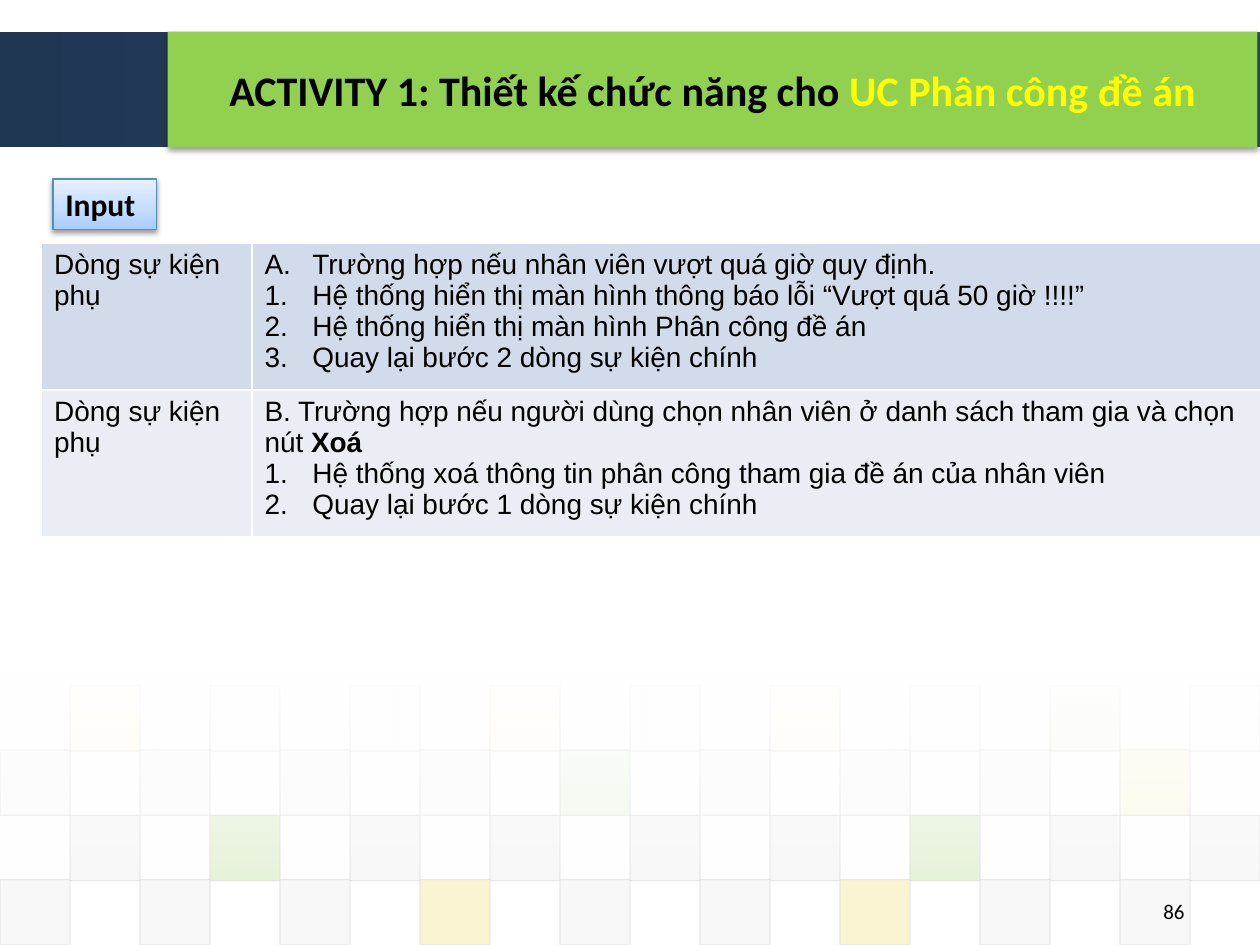
"""Build the activity slide: title bar, input tag, event flow table and tile pattern."""
from lxml import etree
from pptx import Presentation
from pptx.dml.color import RGBColor
from pptx.enum import shapes, text
from pptx.oxml import ns, parse_xml
from pptx.util import Inches, Pt

BLACK = RGBColor(0, 0, 0)
WHITE = RGBColor(255, 255, 255)
YELLOW = RGBColor(255, 255, 0)
LIME = RGBColor(0x92, 0xD0, 0x50)
BLUE = RGBColor(0x55, 0x8D, 0xC0)
GREY = RGBColor(0xDD, 0xDD, 0xDD)
TINTS = {"D": GREY, "E": RGBColor(0xEA, 0xEA, 0xEA),
         "G": RGBColor(0x8A, 0xC2, 0x46), "Y": RGBColor(0xEF, 0xC8, 0x21)}
BANDS = [RGBColor(0xD2, 0xDB, 0xE9), RGBColor(0xEA, 0xEE, 0xF4)]

NAVY = [(0, "1F3653", 100), (100, "2E507A", 100)]
FADE = [(0, "FFFFFF", 90), (100, "FFFFFF", 0)]
SKY = [(0, "A8CDFF", 100), (35, "C1DBFF", 100), (100, "E7F1FF", 100)]

TILES = [(5.44, 1, 5, "YEEYDYEGE"), (5.95, 0, 10, "DDDDGDDDY"),
         (6.47, 1, 20, "DGDDDDGDD"), (6.98, 0, 20, "DDDYDDYDD")]
STEP = 10 / 18

TITLE = [("ACTIVITY 1: Thiết kế chức năng cho ", BLACK), ("UC Phân công đề án", YELLOW)]
LABEL = "Dòng sự kiện phụ"
ALPHA, NUM = "alphaUcPeriod", "arabicPeriod"
FLOWS = [
    [(ALPHA, ["Trường hợp nếu nhân viên vượt quá giờ quy định."]),
     (NUM, ["Hệ thống hiển thị màn hình thông báo lỗi “Vượt quá 50 giờ !!!!”"]),
     (NUM, ["Hệ thống hiển thị màn hình Phân công đề án"]),
     (NUM, ["Quay lại bước 2 dòng sự kiện chính"])],
    [(None, ["B. Trường hợp nếu người dùng chọn nhân viên ở danh sách tham gia và chọn nút ", "Xoá"]),
     (NUM, ["Hệ thống xoá thông tin phân công tham gia đề án của nhân viên"]),
     (NUM, ["Quay lại bước 1 dòng sự kiện chính"])],
]


def sub(node, tag, **attrs):
    return etree.SubElement(node, ns.qn(tag), {k: str(v) for k, v in attrs.items()})


def box(slide, area, fill=None, line=None):
    item = slide.shapes.add_shape(shapes.MSO_SHAPE.RECTANGLE, *map(Inches, area))
    item.shadow.inherit = False
    item.fill.background()
    if fill is not None:
        item.fill.solid()
        item.fill.fore_color.rgb = fill
    item.line.fill.background()
    if line is not None:
        item.line.color.rgb = line
        item.line.width = Pt(0.75)
    return item


def blend(item, stops, angle):
    grad = parse_xml(f'<a:gradFill {ns.nsdecls("a")} rotWithShape="1"/>')
    group = sub(grad, "a:gsLst")
    for spot, tone, alpha in stops:
        color = sub(sub(group, "a:gs", pos=spot * 1000), "a:srgbClr", val=tone)
        if alpha < 100:
            sub(color, "a:alpha", val=alpha * 1000)
    sub(grad, "a:lin", ang=angle * 60000, scaled=0)
    props = item._element.spPr
    props.replace(props.find(ns.qn("a:noFill")), grad)


def shade(item):
    effect = item._element.spPr.find(ns.qn("a:effectLst"))
    drop = sub(effect, "a:outerShdw", blurRad=Pt(3.1), dist=Pt(1.6), dir=90 * 60000, rotWithShape=0)
    sub(sub(drop, "a:srgbClr", val="000000"), "a:alpha", val=38000)


def style(run, size, color=BLACK, bold=False, face="Calibri"):
    font = run.font
    font.size, font.name, font.bold = Pt(size), face, bold
    font.color.rgb = color


def write(para, parts, size, **look):
    for part in parts:
        run = para.add_run()
        run.text = part
        style(run, size, **look)


def draw_tiles(slide):
    for top, start, alpha, row in TILES:
        for i, key in enumerate(row):
            tile = box(slide, ((start + 2 * i) * STEP, top, STEP, 0.52), TINTS[key], GREY)
            colors = tile._element.spPr.iter(ns.qn("a:srgbClr"))
            for color, part in zip(list(colors), (alpha, 60)):
                sub(color, "a:alpha", val=part * 1000)
    blend(box(slide, (0, 5.37, 10, 1.62)), FADE, 90)


def edge(cell):
    props = cell._tc.get_or_add_tcPr()
    for i, side in enumerate(("L", "R", "T", "B")):
        line = parse_xml(f'<a:ln{side} {ns.nsdecls("a")} w="{Pt(1)}"/>')
        sub(sub(line, "a:solidFill"), "a:srgbClr", val=WHITE)
        props.insert(i, line)


def draw_table(slide):
    table = slide.shapes.add_table(2, 2, *map(Inches, (0.33, 1.93, 9.84, 2.16))).table
    table.first_row = table.horz_banding = False
    for col, width in zip(table.columns, (1.67, 8.17)):
        col.width = Inches(width)
    for r, (flow, band) in enumerate(zip(FLOWS, BANDS)):
        for c, paras in enumerate(([(None, [LABEL])], flow)):
            cell = table.cell(r, c)
            cell.fill.solid()
            cell.fill.fore_color.rgb = band
            edge(cell)
            frame = cell.text_frame
            for i, (mark, parts) in enumerate(paras):
                para = frame.add_paragraph() if i else frame.paragraphs[0]
                write(para, parts, 16, face="Arial")
                if parts[1:]:
                    para.runs[-1].font.bold = True
                if mark:
                    props = para._p.get_or_add_pPr()
                    props.set("marL", str(Inches(0.38)))
                    props.set("indent", str(-Inches(0.38)))
                    sub(props, "a:buFont", typeface="+mj-lt")
                    sub(props, "a:buAutoNum", type=mark)


def main():
    deck = Presentation()
    deck.slide_width, deck.slide_height = Inches(10), Inches(7.5)
    slide = deck.slides.add_slide(deck.slide_layouts[6])

    blend(box(slide, (0, 0.25, 10, 0.92)), NAVY, 0)
    draw_tiles(slide)

    page = slide.shapes.add_textbox(*map(Inches, (7.17, 7.07, 2.33, 0.33))).text_frame
    page.word_wrap = True
    page.vertical_anchor = text.MSO_ANCHOR.MIDDLE
    page.paragraphs[0].alignment = text.PP_ALIGN.RIGHT
    write(page.paragraphs[0], ["86"], 12)

    draw_table(slide)

    tag = box(slide, (0.42, 1.42, 0.82, 0.4), line=BLUE)
    blend(tag, SKY, 270)
    shade(tag)
    tag.text_frame.word_wrap = False
    tag.text_frame.paragraphs[0].alignment = text.PP_ALIGN.LEFT
    write(tag.text_frame.paragraphs[0], ["Input"], 18, bold=True)

    bar = box(slide, (1.33, 0.25, 8.65, 0.92), LIME)
    shade(bar)
    bar.text_frame.vertical_anchor = text.MSO_ANCHOR.MIDDLE
    head = bar.text_frame.paragraphs[0]
    head.alignment = text.PP_ALIGN.CENTER
    for part, color in TITLE:
        write(head, [part], 24, color=color, bold=True)

    deck.save("out.pptx")


if __name__ == "__main__":
    main()
